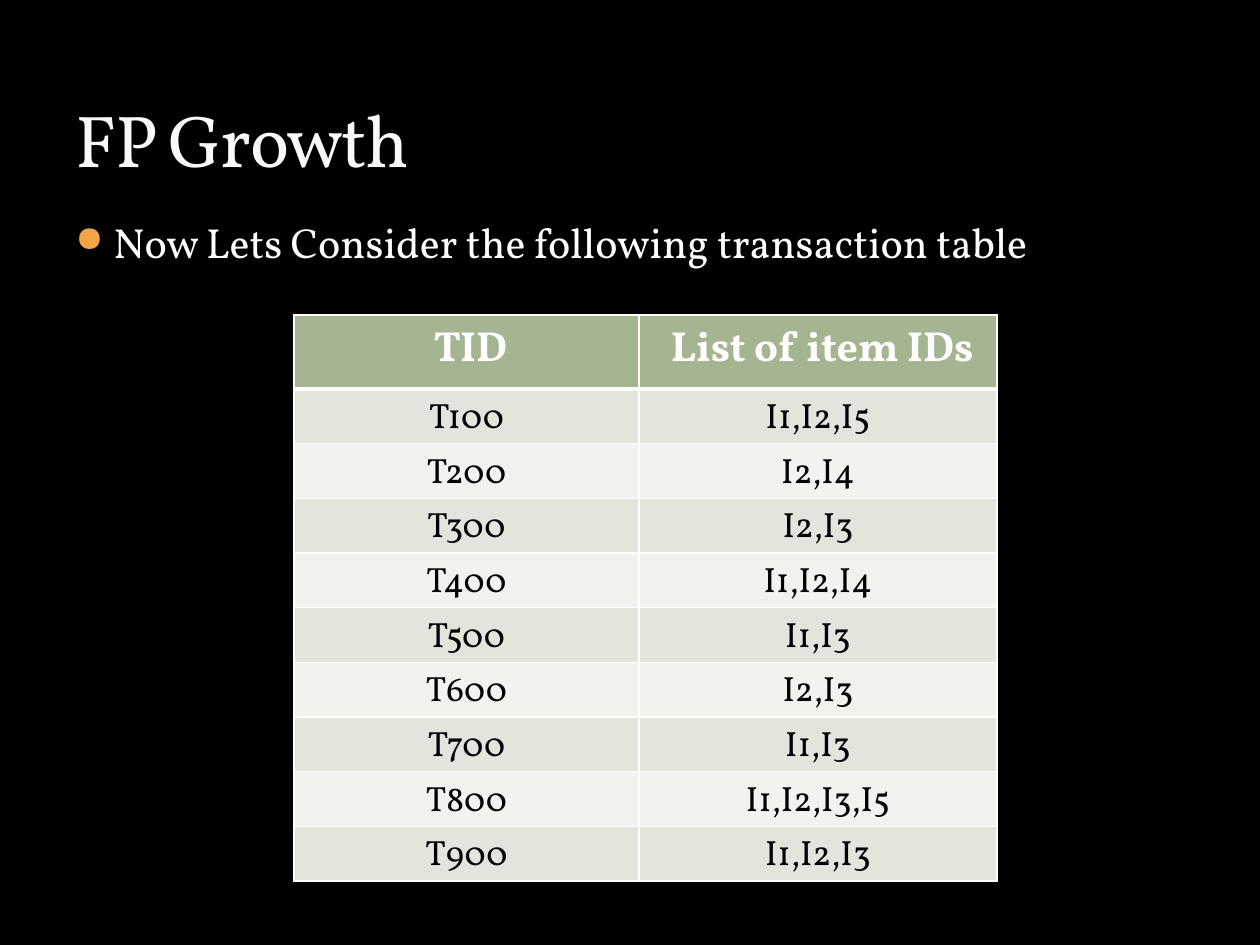
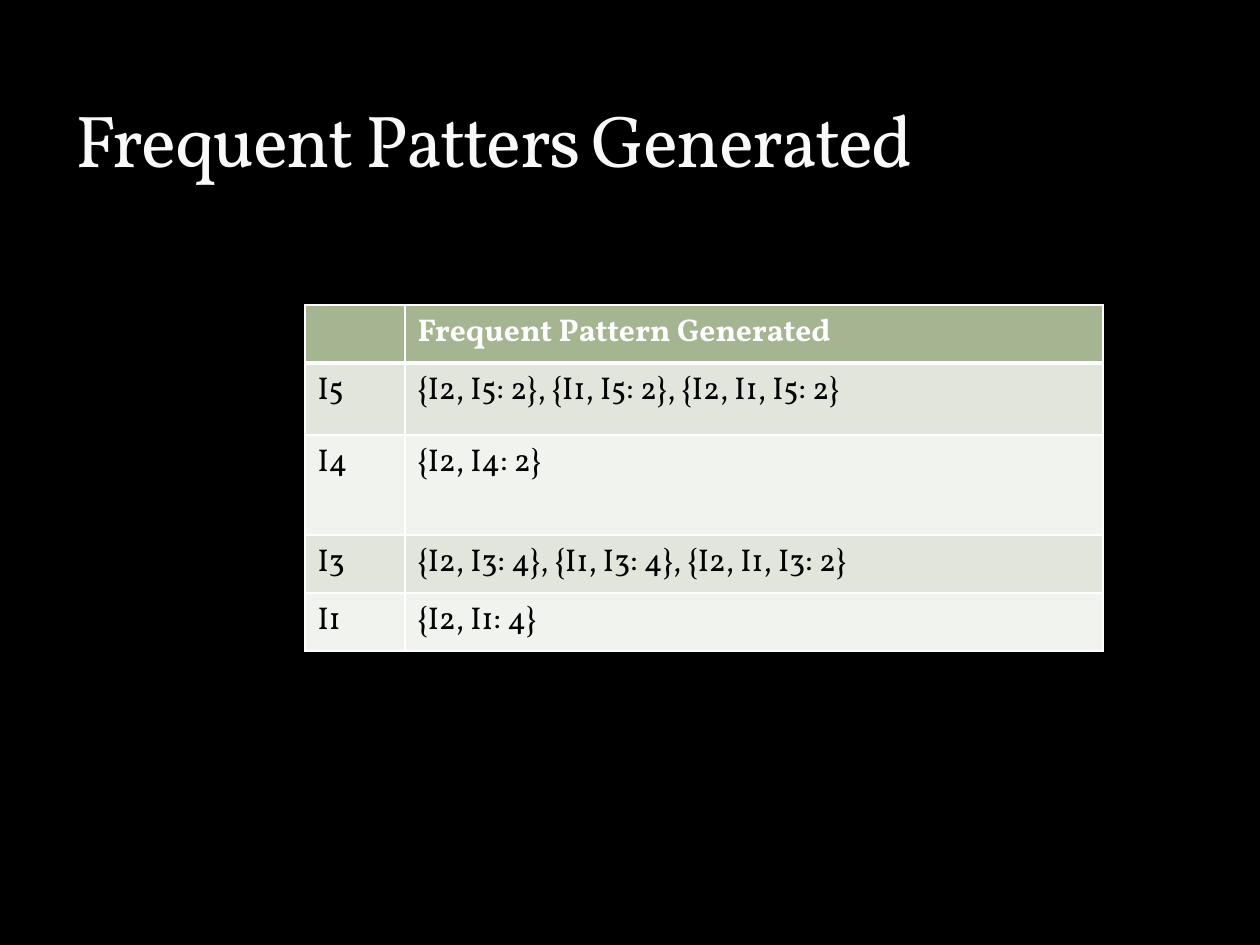
import pptx
import pptx.util
import pptx.dml.color
import pptx.enum.text
import pptx.oxml
import pptx.oxml.ns
import lxml.etree
from dataclasses import dataclass

PX = 914400 / 126


# Shared look
@dataclass
class Theme:
    font: str = "Vollkorn"
    back: str = "000000"
    title: str = "F9F9F9"
    light: str = "FFFFFF"
    dark: str = "000000"
    dot: str = "F3A447"
    head: str = "A5B592"
    odd: str = "E1E5DC"
    even: str = "F0F3EE"
    big: int = 42
    body: int = 24
    cell: int = 20
    small: int = 18


look = Theme()
align = pptx.enum.text.PP_ALIGN
anchor = pptx.enum.text.MSO_ANCHOR
color = pptx.dml.color.RGBColor.from_string


def write(frame, text, size, ink, bold=False, side=align.LEFT, track=0, dot=None):
    """Put one formatted paragraph in a text frame."""
    para = frame.paragraphs[0]
    para.alignment = side
    if dot:
        props = para._p.get_or_add_pPr()
        props.set("marL", str(round(38 * PX)))
        props.set("indent", str(round(-38 * PX)))
        tint = lxml.etree.SubElement(props, pptx.oxml.ns.qn("a:buClr"))
        lxml.etree.SubElement(tint, pptx.oxml.ns.qn("a:srgbClr"), val=dot)
        lxml.etree.SubElement(props, pptx.oxml.ns.qn("a:buSzPct"), val="85000")
        lxml.etree.SubElement(props, pptx.oxml.ns.qn("a:buChar"), char="●")
    run = para.add_run()
    run.text = text
    run.font.name = look.font
    run.font.size = pptx.util.Pt(size)
    run.font.bold = bold
    run.font.color.rgb = color(ink)
    if track:
        run._r.get_or_add_rPr().set("spc", str(track * 100))


def edge(cell, side, width):
    """Draw one cell border; width is in points."""
    line = lxml.etree.SubElement(cell._tc.get_or_add_tcPr(), pptx.oxml.ns.qn("a:ln" + side),
                                 w=str(pptx.util.Pt(width)))
    fill = lxml.etree.SubElement(line, pptx.oxml.ns.qn("a:solidFill"))
    lxml.etree.SubElement(fill, pptx.oxml.ns.qn("a:srgbClr"), val=look.light)


# Content: boxes, columns and rows in px
pages = [
    dict(title="FP Growth",
         lead="Now Lets Consider the following transaction table",
         left=294, top=315, cols=[345, 358], rows=[74] + [54] * 9,
         sizes=(look.body, look.cell), side=align.CENTER,
         data=[(" TID", " List of item IDs"),
               ("T100", "I1,I2,I5"), ("T200", "I2,I4"), ("T300", "I2,I3"),
               ("T400", "I1,I2,I4"), ("T500", "I1,I3"), ("T600", "I2,I3"),
               ("T700", "I1,I3"), ("T800", "I1,I2,I3,I5"), ("T900", "I1,I2,I3")]),
    dict(title="Frequent Patters Generated",
         lead=None,
         left=305, top=305, cols=[100, 698], rows=[58, 72, 100, 58, 58],
         sizes=(look.small, look.small), side=align.LEFT,
         data=[("", "Frequent Pattern Generated"),
               ("I5", "{I2, I5: 2}, {I1, I5: 2}, {I2, I1, I5: 2}"),
               ("I4", "{I2, I4: 2}"),
               ("I3", "{I2, I3: 4}, {I1, I3: 4}, {I2, I1, I3: 2}"),
               ("I1", "{I2, I1: 4}")]),
]

deck = pptx.Presentation()
deck.slide_width = round(1260 * PX)
deck.slide_height = round(945 * PX)

for page in pages:
    # Background and title
    slide = deck.slides.add_slide(deck.slide_layouts[5])
    slide.background.fill.solid()
    slide.background.fill.fore_color.rgb = color(look.back)
    title = slide.shapes.title
    title.left, title.top, title.width, title.height = [
        round(n * PX) for n in (63, 21, 1134, 168)]
    title.text_frame.vertical_anchor = anchor.BOTTOM
    title.text_frame.auto_size = pptx.enum.text.MSO_AUTO_SIZE.NONE
    write(title.text_frame, page["title"], look.big, look.title, track=-1)

    # Lead bullet
    if page["lead"]:
        box = slide.shapes.add_textbox(*[round(n * PX) for n in (63, 210, 1134, 630)])
        box.text_frame.word_wrap = True
        write(box.text_frame, page["lead"], look.body, look.light, dot=look.dot)

    # Table
    cols, rows = page["cols"], page["rows"]
    area = (page["left"], page["top"], sum(cols), sum(rows))
    grid = slide.shapes.add_table(len(rows), len(cols), *[round(n * PX) for n in area]).table
    grid.first_row = grid.horz_banding = False
    for col, width in zip(grid.columns, cols):
        col.width = round(width * PX)
    for r, (items, height) in enumerate(zip(page["data"], rows)):
        grid.rows[r].height = round(height * PX)
        head = r == 0
        fill = look.head if head else look.odd if r % 2 else look.even
        for c, item in enumerate(items):
            cell = grid.cell(r, c)
            for side in "LRTB":
                thick = (r, side) in ((0, "B"), (1, "T"))
                edge(cell, side, 3 if thick else 1)
            cell.fill.solid()
            cell.fill.fore_color.rgb = color(fill)
            if item:
                write(cell.text_frame, item, page["sizes"][0 if head else 1],
                      look.light if head else look.dark, bold=head, side=page["side"])

deck.save("out.pptx")
